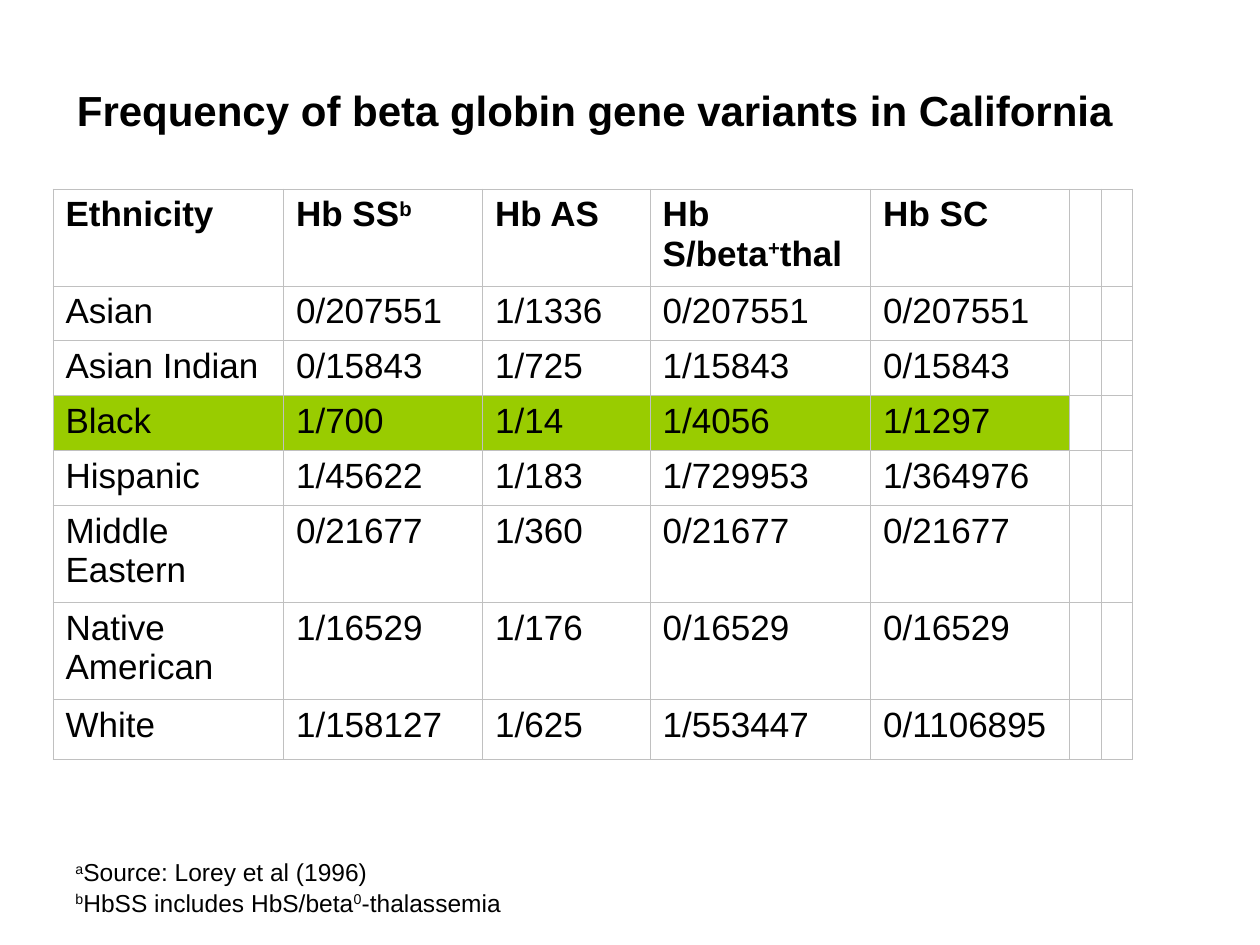
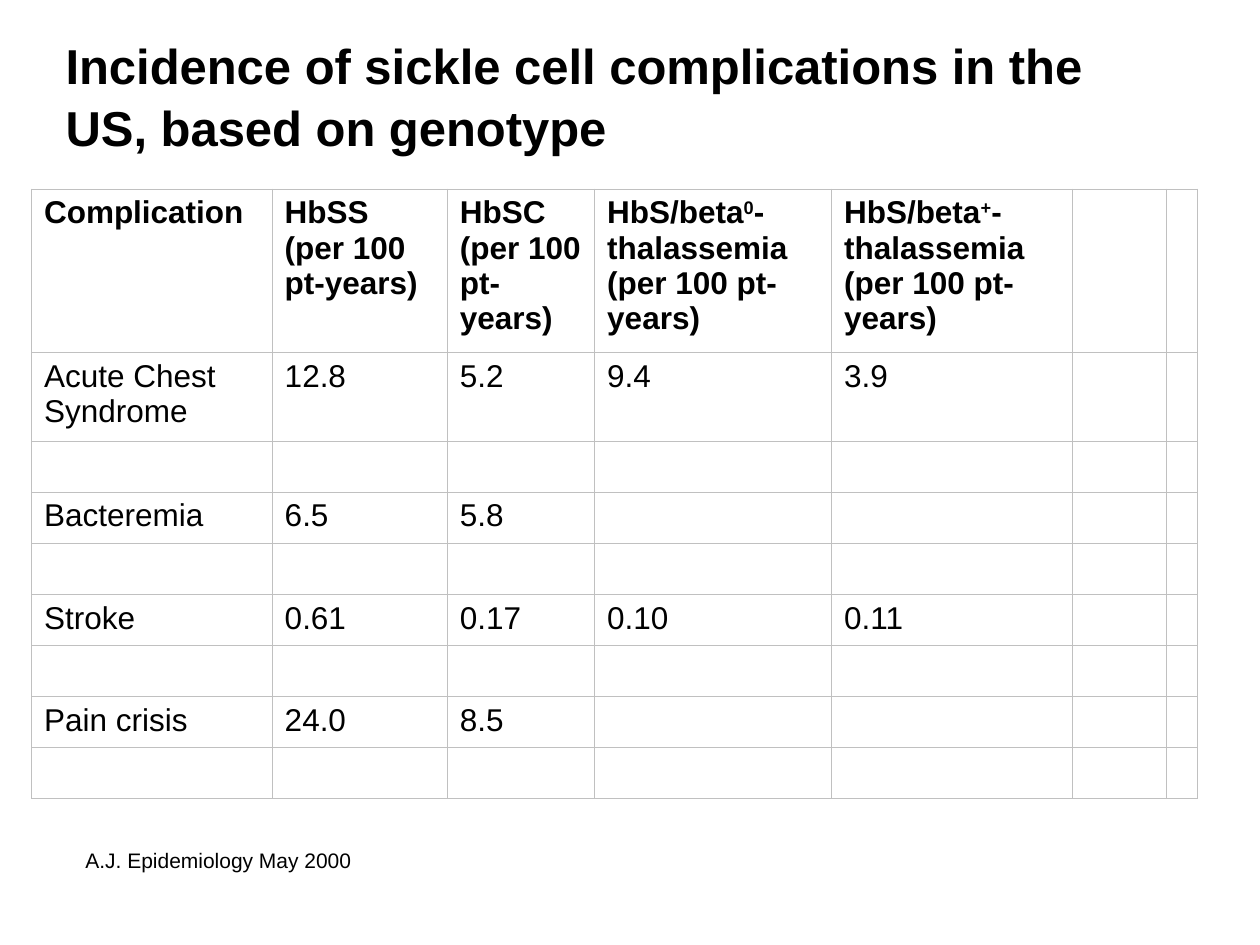
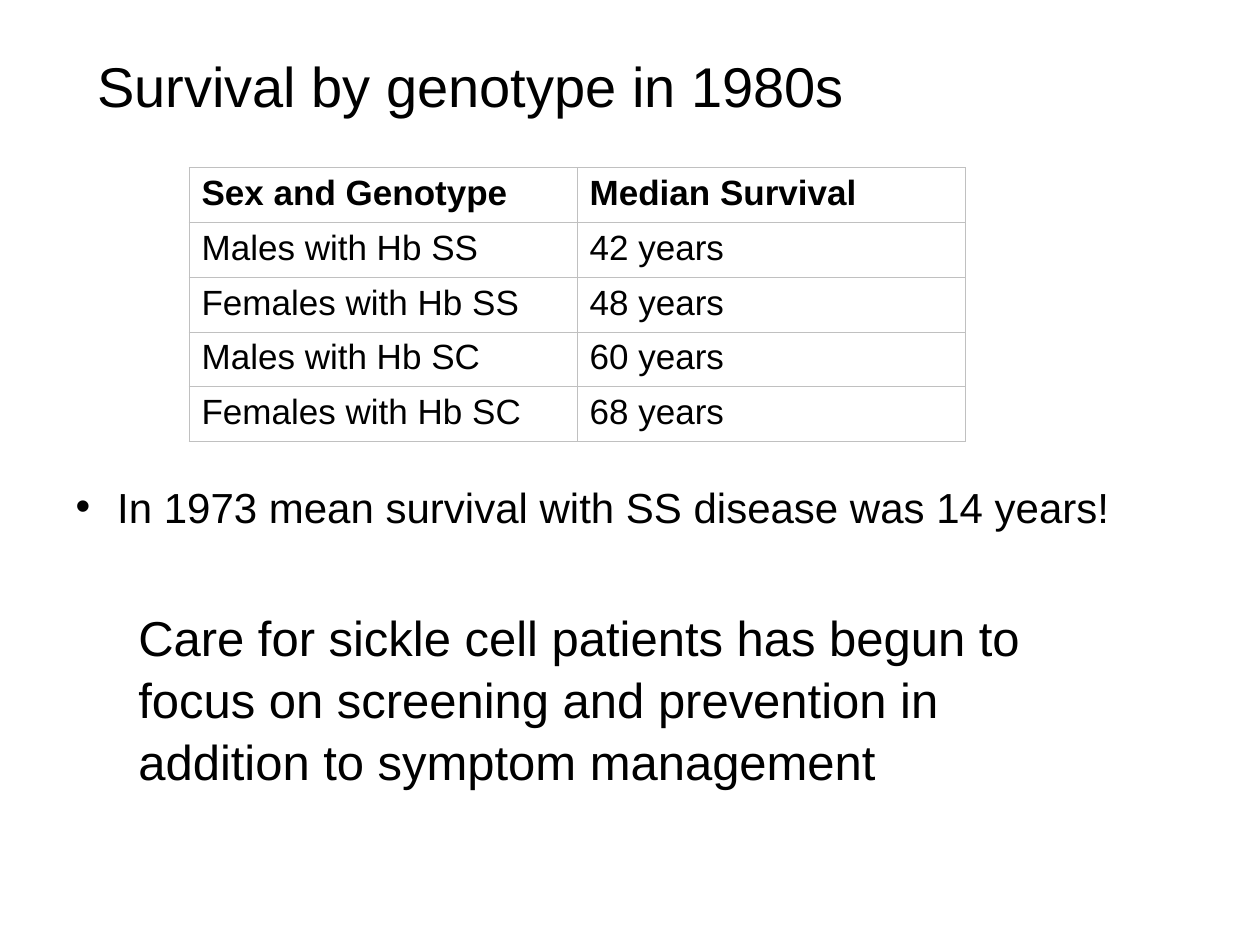
from dataclasses import dataclass

import pptx
import pptx.dml.color
import pptx.enum.text
import pptx.oxml.ns
import pptx.util
from lxml import etree

Inches = pptx.util.Inches
Pt = pptx.util.Pt
Anchor = pptx.enum.text.MSO_ANCHOR
qn = pptx.oxml.ns.qn


@dataclass(frozen=True)
class Theme:
    font: str = "Arial"
    text: str = "000000"
    border: str = "C0C0C0"
    highlight: str = "99CC00"
    border_width: float = 0.45
    line_spacing: float = 1.05
    title: int = 32
    statement: int = 28
    body: int = 24
    table: int = 20
    dense_table: int = 18
    note: int = 14
    citation: int = 12


@dataclass(frozen=True)
class Box:
    left: float
    top: float
    width: float
    height: float


@dataclass(frozen=True)
class TableSpec:
    left: float
    top: float
    columns: list[float]
    heights: list[float]
    rows: list[list[str]]
    size: int
    highlight_row: int | None = None


THEME = Theme()

FREQUENCY = TableSpec(
    0.42, 1.5,
    [1.83, 1.58, 1.33, 1.75, 1.58, 0.25, 0.25],
    [0.77] + [0.435] * 4 + [0.77] * 2 + [0.48],
    [
        ["Ethnicity", "Hb SS^b^", "Hb AS", "Hb S/beta^+^thal", "Hb SC"],
        ["Asian", "0/207551", "1/1336", "0/207551", "0/207551"],
        ["Asian Indian", "0/15843", "1/725", "1/15843", "0/15843"],
        ["Black", "1/700", "1/14", "1/4056", "1/1297"],
        ["Hispanic", "1/45622", "1/183", "1/729953", "1/364976"],
        ["Middle Eastern", "0/21677", "1/360", "0/21677", "0/21677"],
        ["Native American", "1/16529", "1/176", "0/16529", "0/16529"],
        ["White", "1/158127", "1/625", "1/553447", "0/1106895"],
    ],
    THEME.table, highlight_row=3)

RATE = "\n(per 100 pt-years)"
COMPLICATIONS = TableSpec(
    0.25, 1.5,
    [1.91, 1.39, 1.17, 1.88, 1.91, 0.75, 0.24],
    [1.3, 0.7] + [0.4] * 7,
    [
        ["Complication", "HbSS" + RATE, "HbSC" + RATE,
         "HbS/beta^0^-thalassemia" + RATE, "HbS/beta^+^-thalassemia" + RATE],
        ["Acute Chest Syndrome", "12.8", "5.2", "9.4", "3.9"],
        [],
        ["Bacteremia", "6.5", "5.8"],
        [],
        ["Stroke", "0.61", "0.17", "0.10", "0.11"],
        [],
        ["Pain crisis", "24.0", "8.5"],
        [],
    ],
    THEME.dense_table)

SURVIVAL = TableSpec(
    1.5, 1.33, [3.08] * 2, [0.435] * 5,
    [
        ["Sex and Genotype", "Median Survival"],
        ["Males with Hb SS", "42 years"],
        ["Females with Hb SS", "48 years"],
        ["Males with Hb SC", "60 years"],
        ["Females with Hb SC", "68 years"],
    ],
    THEME.table)


def rgb(color: str) -> pptx.dml.color.RGBColor:
    return pptx.dml.color.RGBColor.from_string(color)


def write(p, text: str, *, size: int, bold: bool = False) -> None:
    """Fill a paragraph; ^x^ marks a superscript and a newline a line break."""
    for i, part in enumerate(text.split("^")):
        for j, line in enumerate(part.split("\n")):
            if j:
                p.add_line_break()
                etree.SubElement(p._p[-1], qn("a:rPr"), sz=str(size * 100))
            if not line:
                continue
            r = p.add_run()
            r.text = line
            r.font.name = THEME.font
            r.font.size = Pt(size)
            r.font.bold = bold
            r.font.color.rgb = rgb(THEME.text)
            if i % 2:
                r.font._element.set("baseline", "30000")


def fill_box(sp, box: Box, text: str, *, size: int, bold: bool = False,
             anchor=Anchor.TOP, right_inset: float = 0.1,
             margin: float = 0, indent: float = 0) -> None:
    """Place a text box or placeholder and write its one paragraph."""
    sp.left, sp.top = Inches(box.left), Inches(box.top)
    sp.width, sp.height = Inches(box.width), Inches(box.height)
    tf = sp.text_frame
    tf.word_wrap = True
    tf.auto_size = pptx.enum.text.MSO_AUTO_SIZE.NONE
    tf.vertical_anchor = anchor
    tf.margin_left, tf.margin_right = Inches(0.1), Inches(right_inset)
    tf.margin_top = tf.margin_bottom = Inches(0.05)
    p = tf.paragraphs[0]
    p.alignment = pptx.enum.text.PP_ALIGN.LEFT
    p.space_before = Pt(0)
    p.line_spacing = THEME.line_spacing
    pPr = p._p.get_or_add_pPr()
    pPr.set("marL", str(Inches(margin)))
    pPr.set("indent", str(Inches(indent)))
    write(p, text, size=size, bold=bold)


def add_text(s, box: Box, text: str, **style) -> None:
    fill_box(s.shapes.add_textbox(0, 0, 0, 0), box, text, **style)


def set_borders(cell) -> None:
    tcPr = cell._tc.get_or_add_tcPr()
    for side in ("a:lnL", "a:lnR", "a:lnT", "a:lnB"):
        ln = etree.SubElement(tcPr, qn(side), w=str(Pt(THEME.border_width)))
        fill = etree.SubElement(ln, qn("a:solidFill"))
        etree.SubElement(fill, qn("a:srgbClr"), val=THEME.border)


def add_grid(s, spec: TableSpec) -> None:
    table = s.shapes.add_table(
        len(spec.heights), len(spec.columns), Inches(spec.left), Inches(spec.top),
        Inches(sum(spec.columns)), Inches(sum(spec.heights))).table
    table.first_row = table.horz_banding = False
    for column, width in zip(table.columns, spec.columns):
        column.width = Inches(width)
    for i, (row, height, texts) in enumerate(zip(table.rows, spec.heights, spec.rows)):
        row.height = Inches(height)
        for j, cell in enumerate(row.cells):
            set_borders(cell)
            if i == spec.highlight_row and j < len(texts):
                cell.fill.solid()
                cell.fill.fore_color.rgb = rgb(THEME.highlight)
            else:
                cell.fill.background()
            if j < len(texts):
                write(cell.text_frame.paragraphs[0], texts[j], size=spec.size, bold=i == 0)


def main() -> None:
    prs = pptx.Presentation()
    prs.slide_width, prs.slide_height = Inches(10), Inches(7.5)
    title_and_content, title_only = prs.slide_layouts[1], prs.slide_layouts[5]

    # Gene variant frequency
    s = prs.slides.add_slide(title_only)
    fill_box(s.shapes.title, Box(0.42, 0.6, 8.51, 0.9),
             "Frequency of beta globin gene variants in California",
             size=THEME.body, bold=True, right_inset=0, margin=0.09)
    add_grid(s, FREQUENCY)
    add_text(s, Box(0.5, 6.75, 3.58, 0.57),
             "^a^Source: Lorey et al (1996)\n^b^HbSS includes HbS/beta^0^-thalassemia",
             size=THEME.note, anchor=Anchor.MIDDLE, right_inset=0)

    # Complications by genotype
    s = prs.slides.add_slide(title_only)
    fill_box(s.shapes.title, Box(0.42, 0.23, 8.83, 1.04),
             "Incidence of sickle cell complications in the US, based on genotype",
             size=THEME.statement, bold=True, anchor=Anchor.MIDDLE)
    add_grid(s, COMPLICATIONS)
    add_text(s, Box(0.58, 6.67, 4.17, 0.3), "A.J. Epidemiology May 2000",
             size=THEME.citation)

    # Survival by genotype
    s = prs.slides.add_slide(title_and_content)
    fill_box(s.shapes.title, Box(0.67, 0.33, 6.58, 0.64),
             "Survival by genotype in 1980s", size=THEME.title)
    add_grid(s, SURVIVAL)
    fill_box(s.placeholders[1], Box(0.5, 3.75, 8.75, 0.5),
             "In 1973 mean survival with SS disease was 14 years!",
             size=THEME.body, margin=0.33, indent=-0.33)
    add_text(s, Box(1, 4.75, 7.5, 1.5),
             "Care for sickle cell patients has begun to focus on screening "
             "and prevention in addition to symptom management",
             size=THEME.statement)

    prs.save("out.pptx")


if __name__ == "__main__":
    main()
